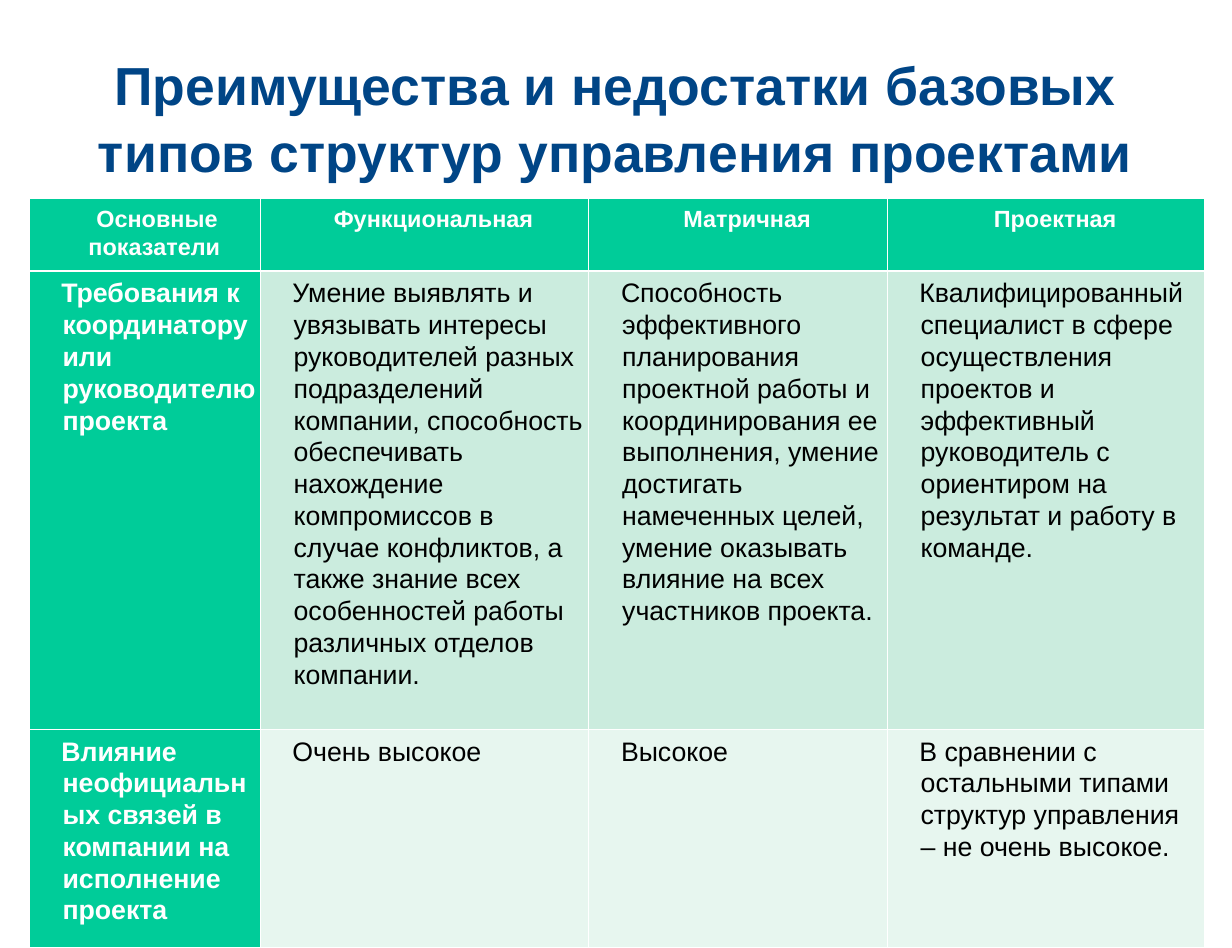
from dataclasses import dataclass

from lxml.etree import SubElement
from pptx import Presentation
from pptx.dml.color import RGBColor as Rgb
from pptx.enum.text import MSO_ANCHOR as Anchor, PP_ALIGN as Align
from pptx.oxml.ns import qn
from pptx.util import Inches, Pt


@dataclass(frozen=True)
class Theme:
    font: str = "Arial"
    title_color: str = "004586"
    accent: str = "00CC99"
    bands: tuple = ("CBECDE", "E7F6EF")
    light: str = "FFFFFF"
    dark: str = "000000"
    title_size: int = 32
    header_size: int = 14
    body_size: int = 16
    thin_border: float = 0.45
    thick_border: float = 1.47


CM_PER_INCH = 2.54
SLIDE_WIDTH_CM = 26
SLIDE_HEIGHT_CM = 20
TITLE = "Преимущества и недостатки базовых типов структур управления проектами"
COLUMN_WIDTHS = (1.92, 2.73, 2.48, 2.64)
ROW_HEIGHTS = (0.54, 3.74, 1.81)
COMPARISON = (
    ("Основные показатели ", "Функциональная ", "Матричная ", "Проектная "),
    (
        "Требования к координатору или руководителю проекта",
        "Умение выявлять и увязывать интересы руководителей разных подразделений "
        "компании, способность обеспечивать нахождение компромиссов в случае "
        "конфликтов, а также знание всех особенностей работы различных отделов "
        "компании.",
        "Способность эффективного планирования проектной работы и координирования "
        "ее выполнения, умение достигать намеченных целей, умение оказывать "
        "влияние на всех участников проекта.",
        "Квалифицированный специалист в сфере осуществления проектов и "
        "эффективный руководитель с ориентиром на результат и работу в команде.",
    ),
    (
        "Влияние неофициальных связей в компании на исполнение проекта",
        "Очень высокое",
        "Высокое",
        "В сравнении с остальными типами структур управления – не очень высокое.",
    ),
)


class SlideBuilder:
    def __init__(self, slide, theme):
        self.slide = slide
        self.theme = theme

    def style(self, paragraph, size, color, bold, align, spacing):
        paragraph.alignment = align
        paragraph.line_spacing = spacing
        font = paragraph.font
        font.name = self.theme.font
        font.size = Pt(size)
        font.bold = bold
        font.color.rgb = Rgb.from_string(color)

    def set_margins(self, holder, left, top, right, bottom):
        holder.margin_left, holder.margin_top = Inches(left), Inches(top)
        holder.margin_right, holder.margin_bottom = Inches(right), Inches(bottom)

    def title(self, text, left, top, width, height):
        box = self.slide.shapes.add_textbox(
            Inches(left), Inches(top), Inches(width), Inches(height))
        frame = box.text_frame
        frame.word_wrap = True
        frame.vertical_anchor = Anchor.MIDDLE
        self.set_margins(frame, 0, 0, 0, 0)
        frame.text = text
        self.style(frame.paragraphs[0], self.theme.title_size,
                   self.theme.title_color, True, Align.CENTER, 1.04)

    def borders(self, cell, row):
        thin, thick = self.theme.thin_border, self.theme.thick_border
        widths = {
            "L": thin,
            "R": thin,
            "T": thick if row == 1 else thin,
            "B": thick if row == 0 else thin,
        }
        properties = cell._tc.get_or_add_tcPr()
        for position, (side, width) in enumerate(widths.items()):
            line = properties.makeelement(qn(f"a:ln{side}"), {"w": str(Pt(width))})
            fill = SubElement(line, qn("a:solidFill"))
            SubElement(fill, qn("a:srgbClr"), val=self.theme.light)
            properties.insert(position, line)

    def cell(self, cell, text, row, column):
        theme = self.theme
        header = row == 0
        emphasized = header or column == 0
        cell.fill.solid()
        cell.fill.fore_color.rgb = Rgb.from_string(
            theme.accent if emphasized else theme.bands[row - 1])
        self.set_margins(cell, 0.07 if header else 0.08, 0.05,
                         0.05 if header else 0.03, 0.05)
        cell.text = text
        paragraph = cell.text_frame.paragraphs[0]
        self.style(paragraph, theme.header_size if header else theme.body_size,
                   theme.light if emphasized else theme.dark, emphasized,
                   Align.CENTER if header else Align.LEFT, 1.07)
        paragraph.space_after = Pt(0.5)
        indents = paragraph._p.get_or_add_pPr()
        indents.set("marL", str(Inches(0.2)))
        indents.set("indent", str(Inches(-0.01)))
        self.borders(cell, row)

    def table(self, rows, left, top, widths, heights):
        table = self.slide.shapes.add_table(
            len(rows), len(widths), Inches(left), Inches(top),
            Inches(sum(widths)), Inches(sum(heights))).table
        for column, width in zip(table.columns, widths):
            column.width = Inches(width)
        for row, height in zip(table.rows, heights):
            row.height = Inches(height)
        for r, texts in enumerate(rows):
            for c, text in enumerate(texts):
                self.cell(table.cell(r, c), text, r, c)


def main():
    presentation = Presentation()
    presentation.slide_width = Inches(SLIDE_WIDTH_CM / CM_PER_INCH)
    presentation.slide_height = Inches(SLIDE_HEIGHT_CM / CM_PER_INCH)
    slide = presentation.slides.add_slide(presentation.slide_layouts[6])
    builder = SlideBuilder(slide, Theme())
    builder.title(TITLE, 0.51, 0.31, 9.21, 1.31)
    builder.table(COMPARISON, 0.24, 1.65, COLUMN_WIDTHS, ROW_HEIGHTS)
    presentation.save("out.pptx")


if __name__ == "__main__":
    main()
